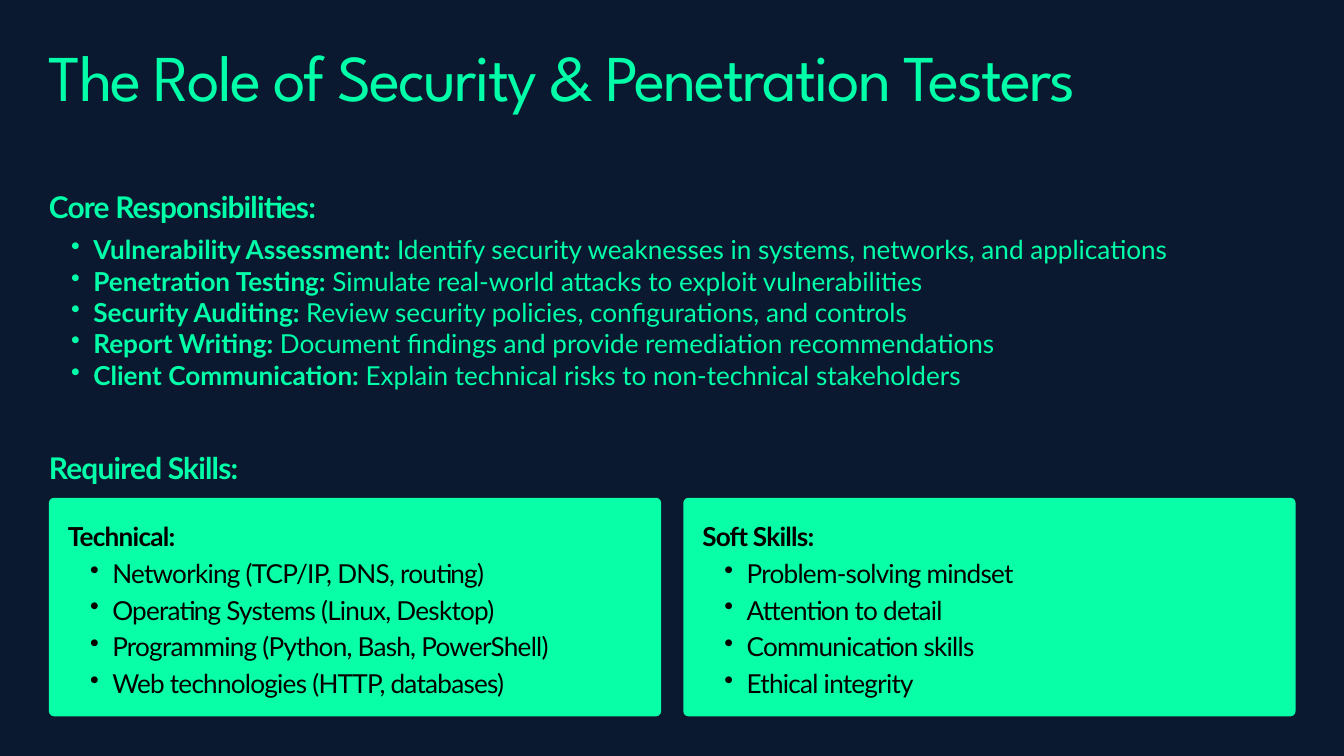
from dataclasses import dataclass

import pptx
import pptx.dml.color
import pptx.enum.shapes
import pptx.enum.text
import pptx.oxml.ns
import pptx.util
from lxml import etree

Cm = pptx.util.Cm
Pt = pptx.util.Pt


@dataclass(frozen=True)
class Theme:
    navy: str = "0A192F"
    mint: str = "00FFA8"
    card: str = "08FFA7"
    ink: str = "000000"
    title_font: str = "League Spartan"
    body_font: str = "Lato"
    title_size: float = 70
    heading_size: float = 32
    body_size: float = 28


def rgb(value):
    return pptx.dml.color.RGBColor.from_string(value)


class Deck:
    def __init__(self, theme, width, height):
        self.theme = theme
        self.presentation = pptx.Presentation()
        self.presentation.slide_width = width
        self.presentation.slide_height = height
        self.slide = self.presentation.slides.add_slide(self.presentation.slide_layouts[6])
        background = self.slide.background.fill
        background.solid()
        background.fore_color.rgb = rgb(theme.navy)

    def style(self, paragraph, size, color, font=None, bold=(), leading=None, spacing=0):
        """Format a paragraph; bold holds one flag for each run."""
        paragraph.line_spacing = Pt(leading)
        paragraph.alignment = pptx.enum.text.PP_ALIGN.LEFT
        for run, is_bold in zip(paragraph.runs, bold):
            run.font.name = font or self.theme.body_font
            run.font.size = Pt(size)
            run.font.bold = is_bold
            run.font.color.rgb = rgb(color)
            if spacing:
                run._r.get_or_add_rPr().set("spc", str(round(spacing * 100)))

    def bullet(self, paragraph):
        paragraph.level = 1
        properties = paragraph._p.get_or_add_pPr()
        properties.set("marL", str(Cm(1.68)))
        properties.set("indent", str(-Cm(0.84)))
        mark = etree.SubElement(properties, pptx.oxml.ns.qn("a:buChar"))
        mark.set("char", "•")

    def frame(self, shape, inset=0):
        frame = shape.text_frame
        frame.word_wrap = True
        frame.margin_left = frame.margin_right = inset
        frame.margin_top = frame.margin_bottom = inset
        return frame

    def text_box(self, left, top, width, height):
        frame = self.frame(self.slide.shapes.add_textbox(left, top, width, height))
        frame.auto_size = pptx.enum.text.MSO_AUTO_SIZE.SHAPE_TO_FIT_TEXT
        return frame

    def title(self, text, left, top, width, height):
        frame = self.text_box(left, top, width, height)
        frame.text = text
        size = self.theme.title_size
        self.style(frame.paragraphs[0], size, self.theme.mint, self.theme.title_font,
                   [False], size, -2.1)

    def heading(self, text, left, top, width, height):
        frame = self.text_box(left, top, width, height)
        frame.text = text
        size = self.theme.heading_size
        self.style(frame.paragraphs[0], size, self.theme.mint,
                   bold=[True], leading=size * 2, spacing=-0.9)

    def definitions(self, entries, left, top, width, height):
        frame = self.text_box(left, top, width, height)
        size = self.theme.body_size
        for index, (term, meaning) in enumerate(entries):
            paragraph = frame.add_paragraph() if index else frame.paragraphs[0]
            self.bullet(paragraph)
            paragraph.add_run().text = f"{term}:"
            paragraph.add_run().text = f" {meaning}"
            self.style(paragraph, size, self.theme.mint,
                       bold=[True, False], leading=size * 1.2)

    def card(self, heading, skills, left, top, width, height):
        card = self.slide.shapes.add_shape(
            pptx.enum.shapes.MSO_SHAPE.ROUNDED_RECTANGLE, left, top, width, height)
        card.adjustments[0] = Cm(0.19) / height
        card.shadow.inherit = False
        card.fill.solid()
        card.fill.fore_color.rgb = rgb(self.theme.card)
        card.line.fill.background()
        frame = self.frame(card, Cm(0.66))
        frame.vertical_anchor = pptx.enum.text.MSO_ANCHOR.MIDDLE
        frame.text = "\n".join([heading, *skills])
        size = self.theme.body_size
        for index, paragraph in enumerate(frame.paragraphs):
            if index:
                self.bullet(paragraph)
            self.style(paragraph, size, self.theme.ink,
                       bold=[index == 0], leading=size * 1.4, spacing=-0.8)


RESPONSIBILITIES = [
    ("Vulnerability Assessment",
     "Identify security weaknesses in systems, networks, and applications"),
    ("Penetration Testing", "Simulate real-world attacks to exploit vulnerabilities"),
    ("Security Auditing", "Review security policies, configurations, and controls"),
    ("Report Writing", "Document findings and provide remediation recommendations"),
    ("Client Communication", "Explain technical risks to non-technical stakeholders"),
]
SKILLS = {
    "Technical:": [
        "Networking (TCP/IP, DNS, routing)",
        "Operating Systems (Linux, Desktop)",
        "Programming (Python, Bash, PowerShell)",
        "Web technologies (HTTP, databases)",
    ],
    "Soft Skills:": [
        "Problem-solving mindset",
        "Attention to detail",
        "Communication skills",
        "Ethical integrity",
    ],
}


def main():
    deck = Deck(Theme(), Cm(50.8), Cm(28.58))
    margin, content_width = Cm(1.85), Cm(47.12)

    # Title
    deck.title("The Role of Security & Penetration Testers",
               margin, Cm(1.85), content_width, Cm(2.95))

    # Core responsibilities
    deck.heading("Core Responsibilities:", margin, Cm(6.22), Cm(19.94), Cm(2))
    deck.definitions(RESPONSIBILITIES, margin, Cm(8.84), content_width, Cm(5.82))

    # Required skills: equal cards across the content width
    deck.heading("Required Skills:", margin, Cm(16.08), Cm(19.94), Cm(2))
    gap = Cm(0.84)
    card_width = (content_width - gap * (len(SKILLS) - 1)) // len(SKILLS)
    for column, (heading, skills) in enumerate(SKILLS.items()):
        left = margin + column * (card_width + gap)
        deck.card(heading, skills, left, Cm(18.82), card_width, Cm(8.26))

    deck.presentation.save("out.pptx")


if __name__ == "__main__":
    main()
